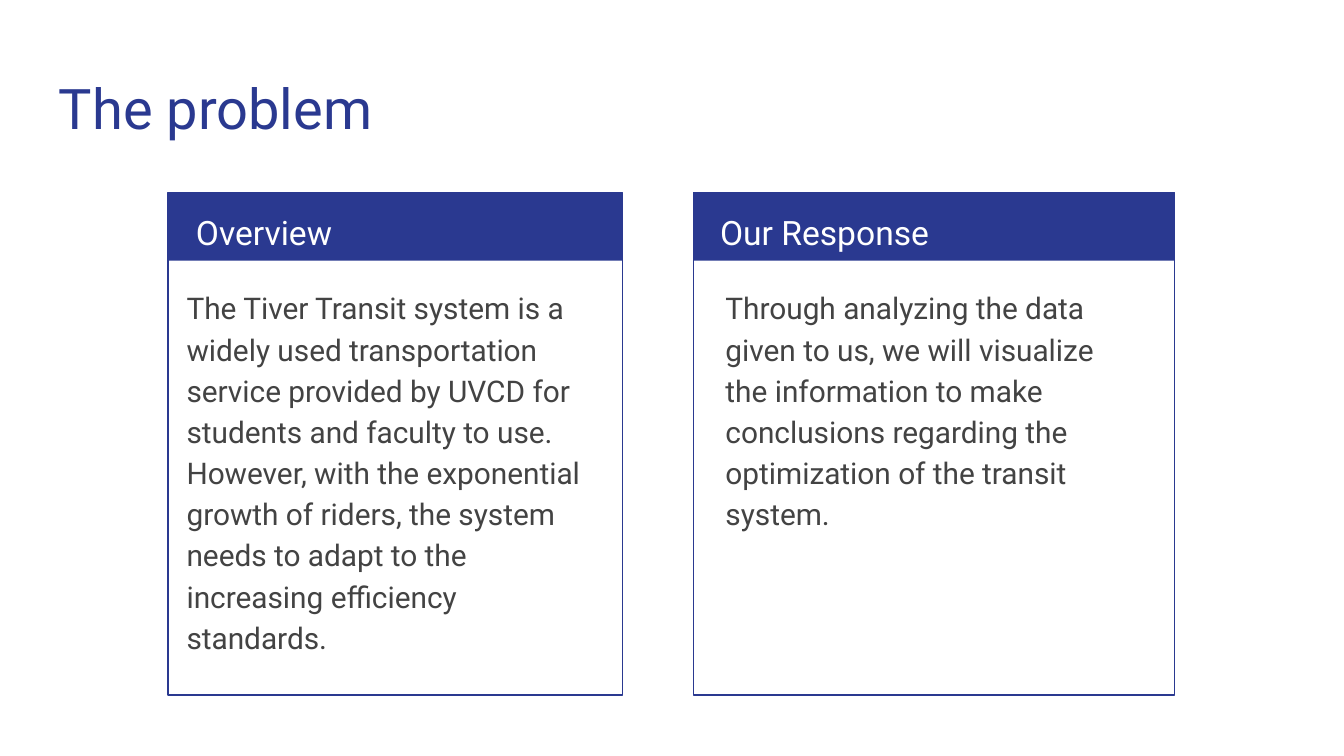
"""Build the slide that sets out the transit problem and the team's response."""
from dataclasses import dataclass

from pptx import Presentation
from pptx.dml.color import RGBColor
from pptx.enum import shapes, text
from pptx.util import Pt

NAVY, WHITE, GRAY = "2A3990", "FFFFFF", "434343"
FONT = "Roboto"
CARD_TOP, CARD_HEIGHT, BAND_HEIGHT = 103, 269.3, 36.6
HEADING_WIDTH, HEADING_HEIGHT = 196.6, 36
BODY_TOP, BODY_WIDTH, BODY_HEIGHT = 145.4, 237.6, 220.3


@dataclass
class Card:
    left: float
    width: float
    heading_left: float
    body_left: float
    heading: str
    body: str


CARDS = [
    Card(90, 243.4, 97.9, 92.9, "Overview",
         "The Tiver Transit system is a widely used transportation service "
         "provided by UVCD for students and faculty to use. However, with the "
         "exponential growth of riders, the system needs to adapt to the "
         "increasing efficiency standards."),
    Card(371.5, 257.8, 378.7, 381.6, "Our Response",
         "Through analyzing the data given to us, we will visualize the "
         "information to make conclusions regarding the optimization of the "
         "transit system."),
]


def color(value: str) -> RGBColor:
    return RGBColor.from_string(value)


def add_rectangle(slide, left: float, width: float, height: float,
                  fill: str | None = None, line: str | None = None) -> None:
    rectangle = slide.shapes.add_shape(
        shapes.MSO_SHAPE.RECTANGLE, Pt(left), Pt(CARD_TOP), Pt(width), Pt(height))
    rectangle.shadow.inherit = False
    if fill:
        rectangle.fill.solid()
        rectangle.fill.fore_color.rgb = color(fill)
    else:
        rectangle.fill.background()
    if line:
        rectangle.line.color.rgb = color(line)
        rectangle.line.width = Pt(0.75)
    else:
        rectangle.line.fill.background()


def add_text(slide, left: float, top: float, width: float, height: float,
             wording: str, size: float, ink: str,
             spacing: float = 1.0, after: float = 0) -> None:
    box = slide.shapes.add_textbox(Pt(left), Pt(top), Pt(width), Pt(height))
    frame = box.text_frame
    frame.word_wrap = True
    frame.vertical_anchor = text.MSO_ANCHOR.TOP
    frame.margin_left = frame.margin_right = Pt(7.2)
    frame.margin_top = frame.margin_bottom = Pt(7.2)
    frame.text = wording
    paragraph = frame.paragraphs[0]
    paragraph.line_spacing = spacing
    paragraph.space_after = Pt(after)
    font = paragraph.runs[0].font
    font.name, font.size = FONT, Pt(size)
    font.color.rgb = color(ink)


def add_card(slide, card: Card) -> None:
    add_rectangle(slide, card.left, card.width, BAND_HEIGHT, fill=NAVY)
    add_rectangle(slide, card.left, card.width, CARD_HEIGHT, line=NAVY)
    add_text(slide, card.heading_left, CARD_TOP, HEADING_WIDTH, HEADING_HEIGHT,
             card.heading, 18, WHITE, spacing=1.15)
    add_text(slide, card.body_left, BODY_TOP, BODY_WIDTH, BODY_HEIGHT,
             card.body, 16, GRAY, spacing=1.15, after=16)


def main() -> None:
    deck = Presentation()
    deck.slide_width, deck.slide_height = Pt(720), Pt(405)
    slide = deck.slides.add_slide(deck.slide_layouts[6])
    slide.background.fill.solid()
    slide.background.fill.fore_color.rgb = color(WHITE)
    add_text(slide, 24.5, 32.4, 671, 47.5, "The problem", 30, NAVY)
    for card in CARDS:
        add_card(slide, card)
    deck.save("out.pptx")


main()
